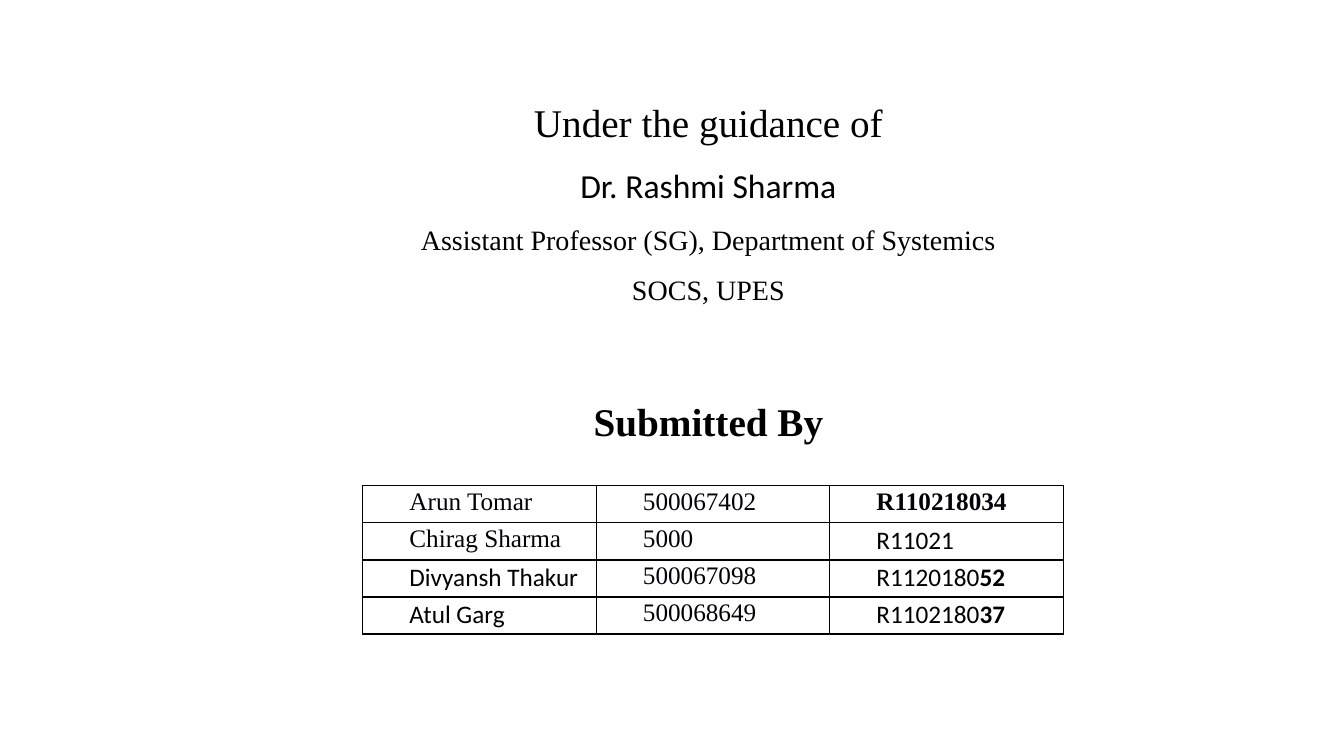
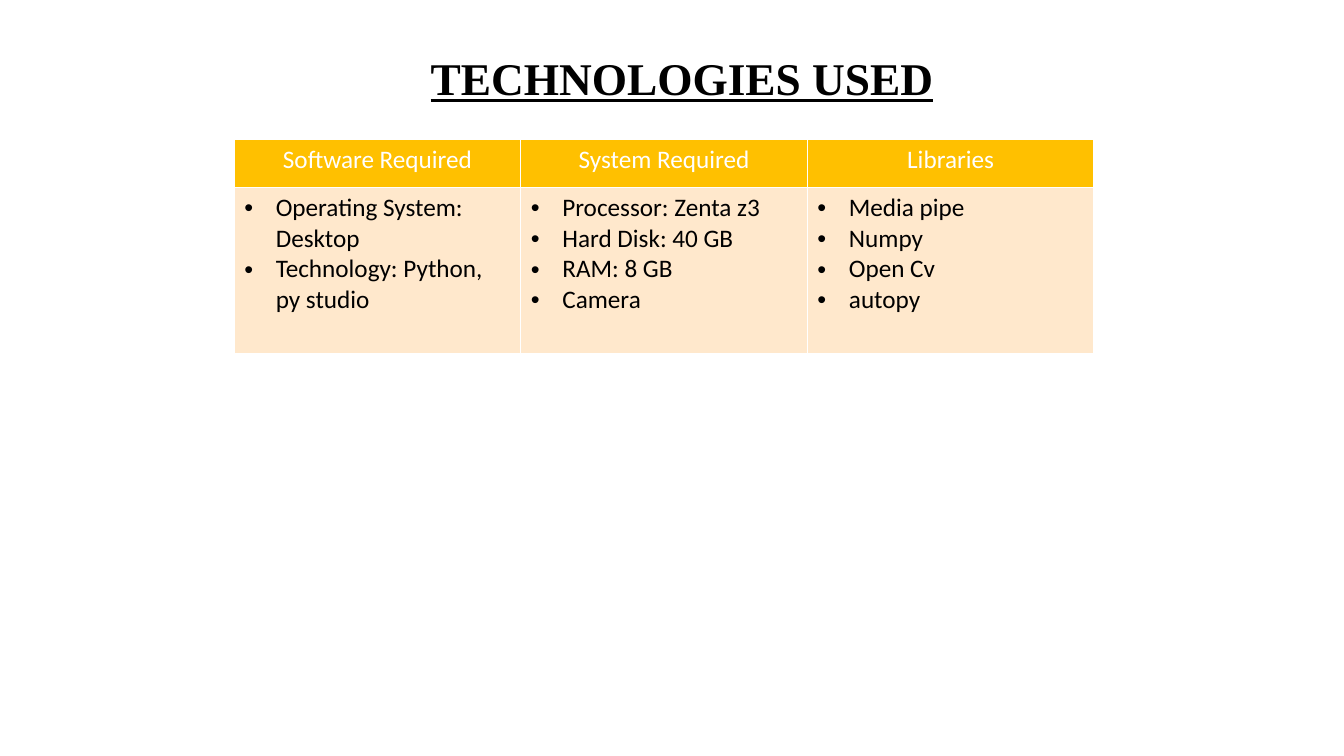
from lxml.etree import SubElement
from pptx import Presentation
from pptx.dml.color import RGBColor
from pptx.enum.text import MSO_ANCHOR, PP_ALIGN
from pptx.oxml.ns import qn
from pptx.util import Pt

COLORS = {
    "black": "000000",
    "ink": "00000A",
    "white": "FFFFFF",
    "header": "FFC000",
    "body": "FFE8CC",
}
SERIF = "Times New Roman"
SANS = "Calibri"

GUIDANCE = [
    ("Under the guidance of", SERIF, 28, False, 0),
    ("Dr. Rashmi Sharma", SANS, 24, False, 0),
    ("Assistant Professor (SG), Department of Systemics", SERIF, 20, False, 0),
    ("SOCS, UPES", SERIF, 20, False, 0),
    ("Submitted By", SERIF, 28, True, 48),
]
STUDENTS = [
    [(SERIF, "Arun Tomar", ""), (SERIF, "500067402", ""), (SERIF, "", "R110218034")],
    [(SERIF, "Chirag Sharma", ""), (SERIF, "5000", ""), (SANS, "R11021", "")],
    [(SANS, "Divyansh Thakur", ""), (SERIF, "500067098", ""), (SANS, "R1120180", "52")],
    [(SANS, "Atul Garg", ""), (SERIF, "500068649", ""), (SANS, "R1102180", "37")],
]
REQUIREMENTS = {
    "Software Required": ["Operating System: Desktop", "Technology: Python, py studio"],
    "System Required": ["Processor: Zenta z3", "Hard Disk: 40 GB", "RAM: 8 GB", "Camera"],
    "Libraries": ["Media pipe", "Numpy", "Open Cv", "autopy"],
}


def style_para(para, font, size, color="black", bold=False, align=PP_ALIGN.LEFT):
    """Set the alignment and font of a paragraph."""
    para.alignment = align
    para.font.name = font
    para.font.size = Pt(size)
    para.font.bold = bold
    para.font.color.rgb = RGBColor.from_string(COLORS[color])


def add_bullet(para, indent):
    """Give a paragraph a round bullet with a hanging indent."""
    properties = para._p.get_or_add_pPr()
    properties.set("marL", str(Pt(indent)))
    properties.set("indent", str(-Pt(indent)))
    SubElement(properties, qn("a:buFont"), typeface="Arial")
    SubElement(properties, qn("a:buChar"), char="•")


def style_cell(cell, border, fill=None):
    """Draw four thin borders around a cell and fill it if asked."""
    properties = cell._tc.get_or_add_tcPr()
    for side in ("a:lnL", "a:lnR", "a:lnT", "a:lnB"):
        line = SubElement(properties, qn(side), w=str(Pt(1)))
        solid = SubElement(line, qn("a:solidFill"))
        SubElement(solid, qn("a:srgbClr"), val=COLORS[border])
    if fill:
        cell.fill.solid()
        cell.fill.fore_color.rgb = RGBColor.from_string(COLORS[fill])
    else:
        cell.fill.background()


def add_text_box(page, left, top, width, height):
    """Add a wrapping text box and return its text frame."""
    frame = page.shapes.add_textbox(Pt(left), Pt(top), Pt(width), Pt(height)).text_frame
    frame.word_wrap = True
    return frame


def add_plain_table(page, left, top, width, row_heights, columns):
    """Add an unbanded table with equal columns."""
    table = page.shapes.add_table(
        len(row_heights), columns, Pt(left), Pt(top), Pt(width), Pt(sum(row_heights))
    ).table
    table.first_row = False
    table.horz_banding = False
    for row, height in zip(table.rows, row_heights):
        row.height = Pt(height)
    return table


def add_guidance(page, left, top, width, height):
    """Place the centred lines about the supervisor and the authors."""
    frame = add_text_box(page, left, top, width, height)
    for index, (text, font, size, bold, gap) in enumerate(GUIDANCE):
        para = frame.add_paragraph() if index else frame.paragraphs[0]
        para.text = text
        para.line_spacing = 1.5
        if gap:
            para.space_before = Pt(gap)
        style_para(para, font, size, bold=bold, align=PP_ALIGN.CENTER)


def add_students(page, left, top, width, row_height):
    """Place the table of students and their numbers."""
    heights = [row_height] * len(STUDENTS)
    table = add_plain_table(page, left, top, width, heights, len(STUDENTS[0]))
    for row, entries in zip(table.rows, STUDENTS):
        for cell, (font, regular, strong) in zip(row.cells, entries):
            style_cell(cell, "black")
            cell.margin_left, cell.margin_right = Pt(33.5), Pt(5.5)
            cell.margin_top, cell.margin_bottom = Pt(0.5), Pt(0)
            para = cell.text_frame.paragraphs[0]
            para.line_spacing = 1.06
            style_para(para, font, 18, "ink" if font == SERIF else "black")
            for text, bold in ((regular, False), (strong, True)):
                if text:
                    span = para.add_run()
                    span.text = text
                    span.font.bold = bold


def add_title(page, text, left, top, width, height):
    """Place an underlined slide title."""
    frame = add_text_box(page, left, top, width, height)
    frame.vertical_anchor = MSO_ANCHOR.MIDDLE
    para = frame.paragraphs[0]
    para.text = text
    para.line_spacing = 0.9
    style_para(para, SERIF, 32.4, bold=True, align=PP_ALIGN.CENTER)
    para.font.underline = True


def add_requirements(page, left, top, width, row_heights):
    """Place the table of requirements, one column for each kind."""
    table = add_plain_table(page, left, top, width, row_heights, len(REQUIREMENTS))
    for column, (heading, items) in enumerate(REQUIREMENTS.items()):
        header, body = table.cell(0, column), table.cell(1, column)
        style_cell(header, "white", "header")
        style_cell(body, "white", "body")
        header.text = heading
        style_para(header.text_frame.paragraphs[0], SANS, 18, "white", align=PP_ALIGN.CENTER)
        body.text = "\n".join(items)
        for para in body.text_frame.paragraphs:
            add_bullet(para, 22.5)
            style_para(para, SANS, 18)


def main():
    """Build and save the deck."""
    deck = Presentation()
    deck.slide_width, deck.slide_height = Pt(960), Pt(540)
    blank = deck.slide_layouts[6]

    page = deck.slides.add_slide(blank)
    add_guidance(page, 60, 49.7, 892, 327)
    add_students(page, 259, 347, 500.4, 26.5)

    page = deck.slides.add_slide(blank)
    add_title(page, "TECHNOLOGIES USED", 14.4, 35.3, 945.6, 44.6)
    add_requirements(page, 167.3, 99.5, 614.1, [34.4, 118.6])

    deck.save("out.pptx")


if __name__ == "__main__":
    main()
